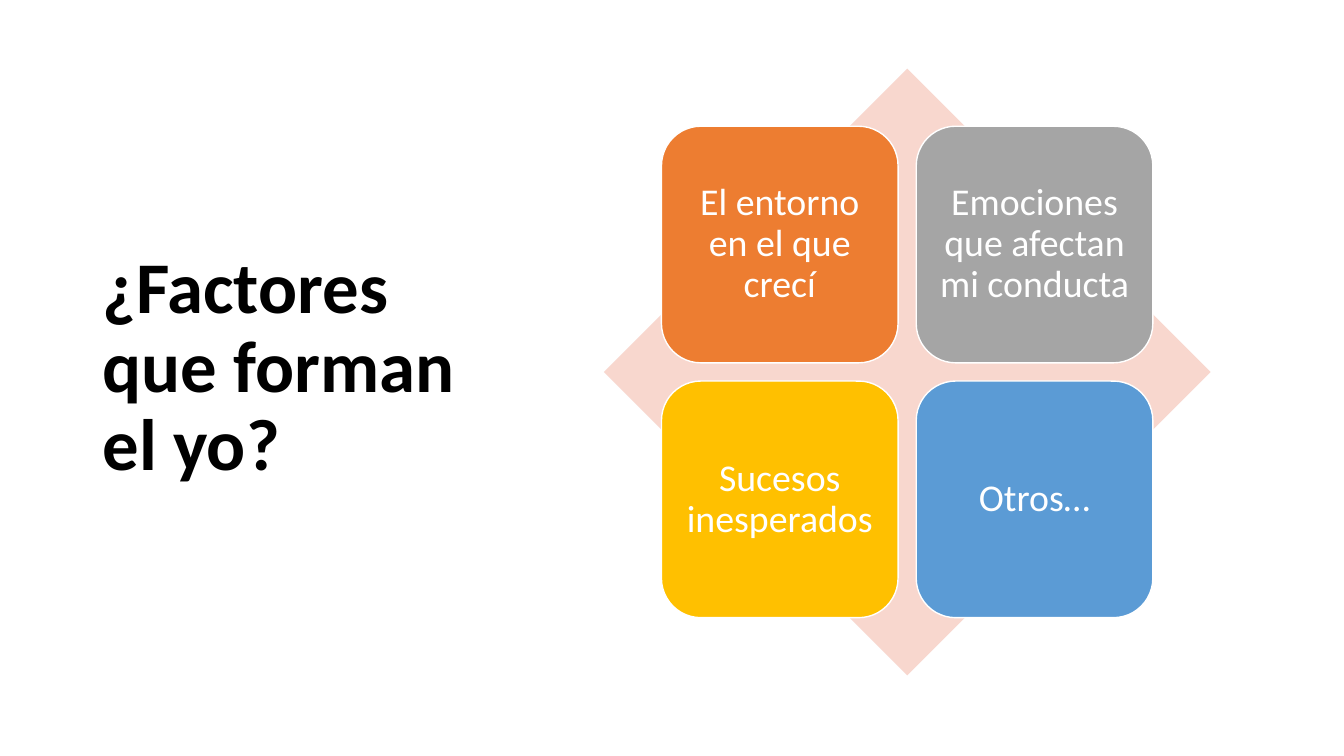
from dataclasses import dataclass

from pptx import Presentation
from pptx.dml.color import RGBColor
from pptx.enum.shapes import MSO_SHAPE
from pptx.enum.text import MSO_ANCHOR, MSO_AUTO_SIZE, PP_ALIGN
from pptx.util import Pt

TITLE = "¿Factores que forman el yo?"
FACTORS = [
    ("El entorno en el que crecí", "ED7D31"),
    ("Emociones que afectan mi conducta", "A5A5A5"),
    ("Sucesos inesperados", "FFC000"),
    ("Otros…", "5B9BD5"),
]


@dataclass(frozen=True)
class Theme:
    font: str = "Calibri"
    black: str = "000000"
    white: str = "FFFFFF"
    diamond: str = "F8D7CE"
    title_size: int = 52
    factor_size: int = 27
    line_spacing: float = 0.9


THEME = Theme()
COLUMNS = 2
CENTER_X, CENTER_Y = 648, 265.7
DIAMOND_SIZE = 433.4
TILE_SIZE, TILE_GAP = 169, 13
TILE_INSET = 8
GRID_SIZE = COLUMNS * TILE_SIZE + (COLUMNS - 1) * TILE_GAP


def write(frame, text, size, color, align, bold=False):
    frame.word_wrap = True
    frame.auto_size = MSO_AUTO_SIZE.NONE
    frame.vertical_anchor = MSO_ANCHOR.MIDDLE
    para = frame.paragraphs[0]
    para.alignment = align
    para.line_spacing = THEME.line_spacing
    span = para.add_run()
    span.text = text
    span.font.name = THEME.font
    span.font.size = Pt(size)
    span.font.bold = bold
    span.font.color.rgb = RGBColor.from_string(color)


def add_filled(group, kind, left, top, size, color):
    box = group.shapes.add_shape(kind, Pt(left), Pt(top), Pt(size), Pt(size))
    box.shadow.inherit = False
    box.fill.solid()
    box.fill.fore_color.rgb = RGBColor.from_string(color)
    box.line.fill.background()
    return box


def add_factor(group, index, text, color):
    row, column = divmod(index, COLUMNS)
    left = CENTER_X - GRID_SIZE / 2 + column * (TILE_SIZE + TILE_GAP)
    top = CENTER_Y - GRID_SIZE / 2 + row * (TILE_SIZE + TILE_GAP)
    box = add_filled(group, MSO_SHAPE.ROUNDED_RECTANGLE, left, top, TILE_SIZE, color)
    box.line.color.rgb = RGBColor.from_string(THEME.white)
    box.line.width = Pt(1)
    frame = box.text_frame
    frame.margin_left = frame.margin_right = Pt(TILE_INSET)
    frame.margin_top = frame.margin_bottom = Pt(TILE_INSET)
    write(frame, text, THEME.factor_size, THEME.white, PP_ALIGN.CENTER)


deck = Presentation()
deck.slide_width, deck.slide_height = Pt(960), Pt(540)
page = deck.slides.add_slide(deck.slide_layouts.get_by_name("Title Only"))

title = page.shapes.title
title.left, title.top, title.width, title.height = Pt(66), Pt(44), Pt(266), Pt(438.5)
write(title.text_frame, TITLE, THEME.title_size, THEME.black, PP_ALIGN.LEFT, bold=True)

matrix = page.shapes.add_group_shape()
add_filled(matrix, MSO_SHAPE.DIAMOND, CENTER_X - DIAMOND_SIZE / 2,
           CENTER_Y - DIAMOND_SIZE / 2, DIAMOND_SIZE, THEME.diamond)
for index, (text, color) in enumerate(FACTORS):
    add_factor(matrix, index, text, color)

deck.save("out.pptx")
